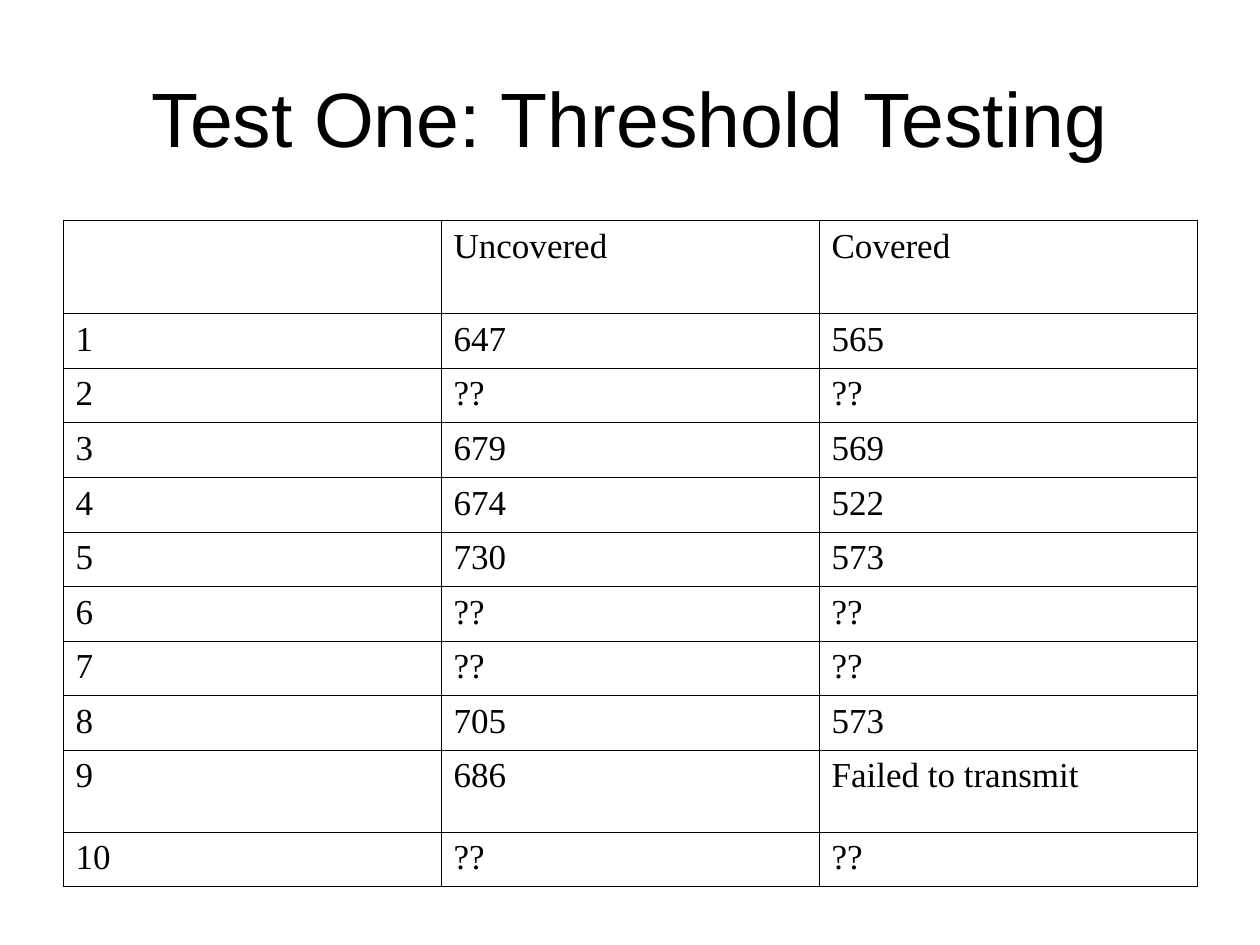
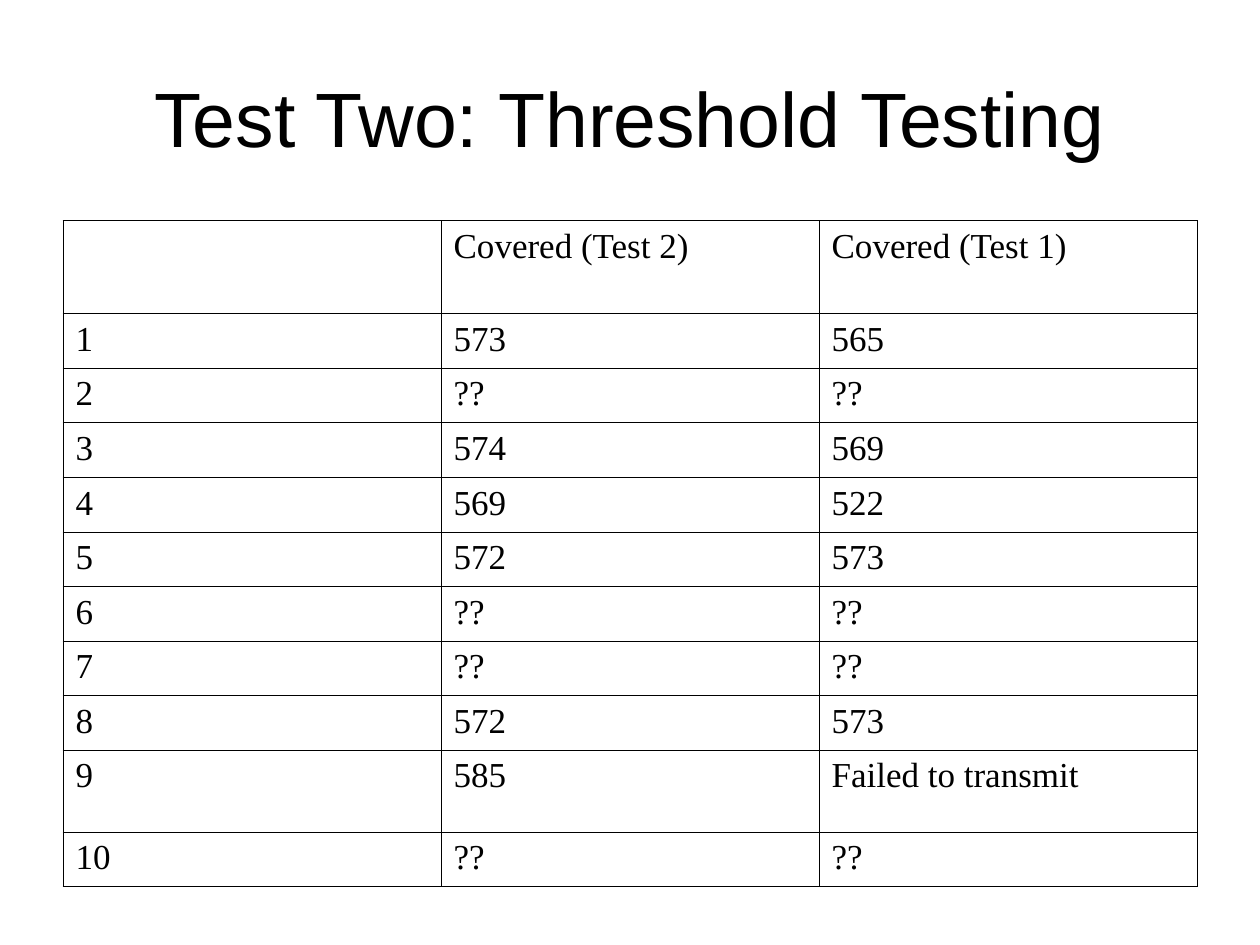
"""Build two slides that tabulate the threshold test results."""
import dataclasses
import typing

import lxml.etree
import pptx
import pptx.dml.color
import pptx.enum.text
import pptx.oxml.ns
import pptx.slide
import pptx.table
import pptx.util

Inches = pptx.util.Inches
BLACK = pptx.dml.color.RGBColor(0x00, 0x00, 0x00)
WHITE = pptx.dml.color.RGBColor(0xFF, 0xFF, 0xFF)

TITLE_FONT = {"name": "Arial", "size": pptx.util.Pt(44)}
CELL_FONT = {"name": "Times New Roman", "size": pptx.util.Pt(20)}
TITLE_PLACE = {
    "left": Inches(0.5), "top": Inches(0.3),
    "width": Inches(9), "height": Inches(1.25),
}
TITLE_FRAME = {
    "word_wrap": True,
    "auto_size": pptx.enum.text.MSO_AUTO_SIZE.NONE,
    "vertical_anchor": pptx.enum.text.MSO_ANCHOR.MIDDLE,
}
TABLE_PLACE = (Inches(0.5), Inches(1.75), Inches(9), Inches(5.29))
TABLE_OPTIONS = {"first_row": False, "horz_banding": False}
TALL_ROWS = {0: Inches(0.74), 9: Inches(0.65)}
HANGING_INDENT = Inches(0.38)
BORDER_WIDTH = pptx.util.Pt(0.45)
UNKNOWN = "??"
COVERED_FIRST_TEST = (
    "565", UNKNOWN, "569", "522", "573", UNKNOWN, UNKNOWN, "573",
    "Failed to transmit", UNKNOWN,
)


@dataclasses.dataclass(frozen=True)
class Measurement:
    heading: str
    values: tuple[str, ...]


@dataclasses.dataclass(frozen=True)
class ThresholdTest:
    title: str
    measurements: tuple[Measurement, ...]


TESTS = (
    ThresholdTest("Test One: Threshold Testing", (
        Measurement("Uncovered", (
            "647", UNKNOWN, "679", "674", "730", UNKNOWN, UNKNOWN, "705",
            "686", UNKNOWN)),
        Measurement("Covered", COVERED_FIRST_TEST),
    )),
    ThresholdTest("Test Two: Threshold Testing", (
        Measurement("Covered (Test 2)", (
            "573", UNKNOWN, "574", "569", "572", UNKNOWN, UNKNOWN, "572",
            "585", UNKNOWN)),
        Measurement("Covered (Test 1)", COVERED_FIRST_TEST),
    )),
)


def set_attributes(target: typing.Any, values: dict[str, typing.Any]) -> None:
    for name, value in values.items():
        setattr(target, name, value)


def format_font(font: typing.Any, values: dict[str, typing.Any]) -> None:
    set_attributes(font, values)
    font.color.rgb = BLACK


def add_title(slide: pptx.slide.Slide, text: str) -> None:
    title = slide.shapes.title
    set_attributes(title, TITLE_PLACE)
    set_attributes(title.text_frame, TITLE_FRAME)
    title.text_frame.text = text
    paragraph = title.text_frame.paragraphs[0]
    paragraph.alignment = pptx.enum.text.PP_ALIGN.CENTER
    format_font(paragraph.runs[0].font, TITLE_FONT)


def add_borders(cell: typing.Any) -> None:
    properties = cell._tc.get_or_add_tcPr()
    qualified = pptx.oxml.ns.qn
    for side in ("L", "R", "T", "B"):
        line = lxml.etree.SubElement(
            properties, qualified(f"a:ln{side}"), w=str(int(BORDER_WIDTH)))
        fill = lxml.etree.SubElement(line, qualified("a:solidFill"))
        lxml.etree.SubElement(fill, qualified("a:srgbClr"), val=str(BLACK))


def write_cell(cell: typing.Any, text: str) -> None:
    add_borders(cell)
    cell.fill.background()
    if not text:
        return
    cell.text = text
    paragraph = cell.text_frame.paragraphs[0]
    properties = paragraph._p.get_or_add_pPr()
    properties.set("marL", str(int(HANGING_INDENT)))
    properties.set("indent", str(-int(HANGING_INDENT)))
    format_font(paragraph.runs[0].font, CELL_FONT)


def size_rows(table: pptx.table.Table) -> None:
    remaining_height = TABLE_PLACE[3] - sum(TALL_ROWS.values())
    regular_height = remaining_height // (len(table.rows) - len(TALL_ROWS))
    for index, row in enumerate(table.rows):
        row.height = TALL_ROWS.get(index, regular_height)


def add_results(slide: pptx.slide.Slide,
                measurements: tuple[Measurement, ...]) -> None:
    trial_count = len(measurements[0].values)
    columns = [("", *map(str, range(1, trial_count + 1)))]
    columns += [(item.heading, *item.values) for item in measurements]
    table = slide.shapes.add_table(
        trial_count + 1, len(columns), *TABLE_PLACE).table
    set_attributes(table, TABLE_OPTIONS)
    size_rows(table)
    for column_index, texts in enumerate(columns):
        for row_index, text in enumerate(texts):
            write_cell(table.cell(row_index, column_index), text)


def main() -> None:
    presentation = pptx.Presentation()
    presentation.slide_width = Inches(10)
    presentation.slide_height = Inches(7.5)
    background = presentation.slide_master.background.fill
    background.solid()
    background.fore_color.rgb = WHITE
    title_only = presentation.slide_layouts.get_by_name("Title Only")
    for test in TESTS:
        slide = presentation.slides.add_slide(title_only)
        add_title(slide, test.title)
        add_results(slide, test.measurements)
    presentation.save("out.pptx")


if __name__ == "__main__":
    main()
